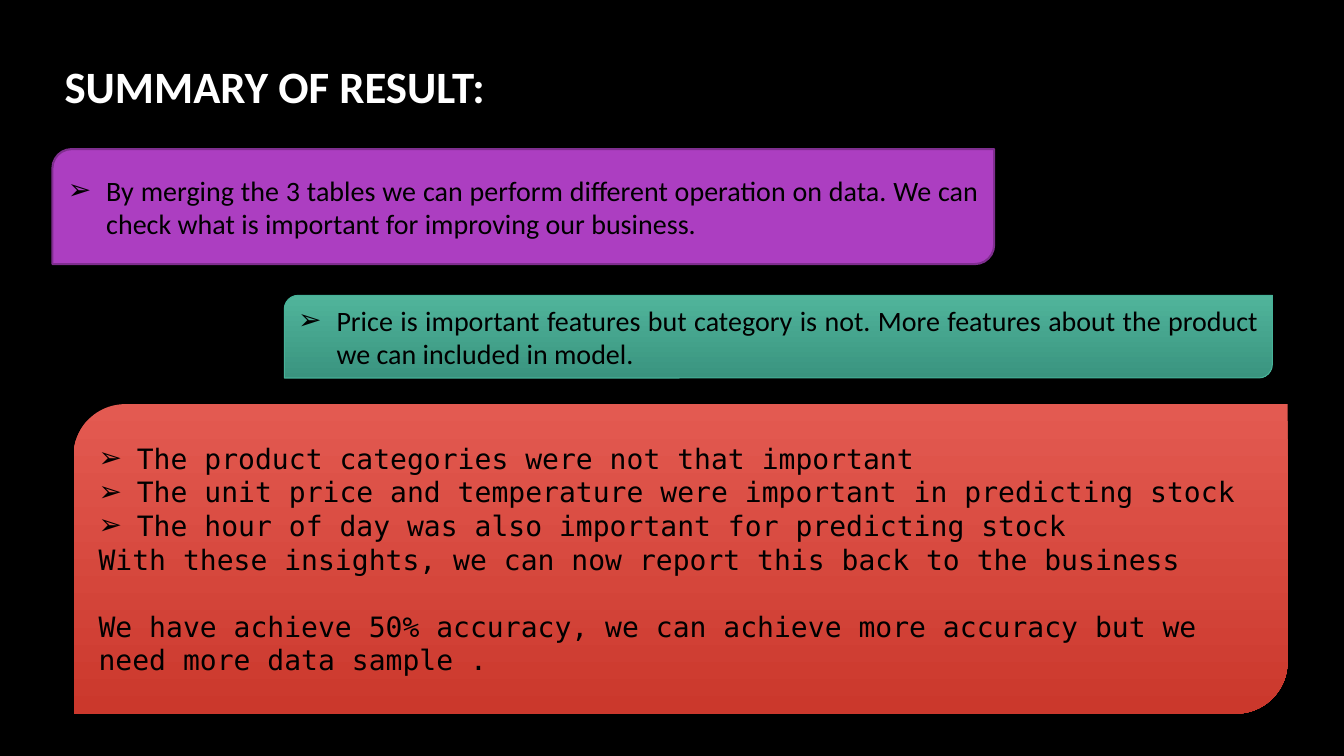
from dataclasses import dataclass
from lxml.etree import SubElement
from pptx import Presentation
from pptx.dml.color import RGBColor as Rgb
from pptx.enum.shapes import MSO_SHAPE as Shape
from pptx.enum.text import MSO_ANCHOR as Anchor, PP_ALIGN as Align
from pptx.oxml.ns import qn
from pptx.util import Inches, Pt


@dataclass(frozen=True)
class Theme:
    back: str = "000000"
    ink: str = "000000"
    light: str = "FFFFFF"
    violet: tuple = ("AC3EC1",)
    green: tuple = ("50B49B", "3A947F")
    red: tuple = ("E35A51", "CB382C")
    rim: str = "7F2E8F"
    edge: str = "46B298"
    sans: str = "Calibri"
    mono: str = "DejaVu Sans Mono"
    head: int = 32
    body: int = 20


THEME = Theme()


def color(code):
    return Rgb.from_string(code)


def place(shape, box):
    shape.left, shape.top, shape.width, shape.height = map(Inches, box)


def write(para, text, face, size, ink, bold=False):
    run = para.add_run()
    run.text = text
    font = run.font
    font.name, font.size, font.bold = face, Pt(size), bold
    font.color.rgb = color(ink)


def bullet(para):
    props = para._p.get_or_add_pPr()
    props.set("marL", str(Inches(0.38)))
    props.set("indent", str(-Inches(0.38)))
    SubElement(props, qn("a:buFont"), typeface="Arial")
    SubElement(props, qn("a:buChar"), char="➢")


def heading(slide, box, text):
    title = slide.shapes.title
    place(title, box)
    frame = title.text_frame
    frame.vertical_anchor = Anchor.BOTTOM
    para = frame.paragraphs[0]
    para.alignment = Align.JUSTIFY
    write(para, text, THEME.sans, THEME.head, THEME.light, True)


def card(slide, box, tones, line=None):
    """Add a card with two round corners, in one tone or a gradient."""
    shape = slide.shapes.add_shape(Shape.ROUND_2_DIAG_RECTANGLE,
                                   *map(Inches, box))
    shape.shadow.inherit = False
    if len(tones) == 1:
        shape.fill.solid()
        shape.fill.fore_color.rgb = color(tones[0])
    else:
        shape.fill.gradient()
        shape.fill.gradient_angle = 270
        for stop, tone in zip(shape.fill.gradient_stops, tones):
            stop.color.rgb = color(tone)
    if line:
        shape.line.color.rgb = color(line[0])
        shape.line.width = Pt(line[1])
    else:
        shape.line.fill.background()
    frame = shape.text_frame
    frame.word_wrap = True
    frame.vertical_anchor = Anchor.MIDDLE
    return frame


def fill_card(frame, points, notes=(), face=THEME.sans, align=Align.LEFT):
    """Write bulleted points, then plain notes with a line between them."""
    for i, text in enumerate((*points, *notes)):
        para = frame.paragraphs[0] if i == 0 else frame.add_paragraph()
        para.alignment = align
        if i < len(points):
            bullet(para)
        elif i > len(points):
            para.space_before = Pt(24)
        write(para, text, face, THEME.body, THEME.ink)


def summary(slide, box):
    left, top, width, height = box
    slide.background.fill.solid()
    slide.background.fill.fore_color.rgb = color(THEME.back)

    # Title
    heading(slide, (left + 0.54, top + 0.11, 7.87, 1.06), "SUMMARY OF RESULT:")

    # Single-point cards
    merge = card(slide, (left + 0.52, top + 1.48, 9.34, 1.14), THEME.violet,
                 (THEME.rim, 1.5))
    fill_card(merge, ["By merging the 3 tables we can perform different "
                      "operation on data. We can check what is important for "
                      "improving our business."], align=Align.JUSTIFY)
    price = card(slide, (left + 2.82, top + 2.93, 9.8, 0.82), THEME.green,
                 (THEME.edge, 0.75))
    fill_card(price, ["Price is important features but category is not. More "
                      "features about the product we can included in model."],
              align=Align.JUSTIFY)

    # Findings card
    finds = card(slide, (left + 0.73, top + 4.01, width - 1.29, height - 4.43),
                 THEME.red)
    fill_card(finds,
              ["The product categories were not that important",
               "The unit price and temperature were important in predicting "
               "stock",
               "The hour of day was also important for predicting stock"],
              ["With these insights, we can now report this back to the "
               "business",
               "We have achieve 50% accuracy, we can achieve more accuracy "
               "but we need more data sample ."],
              THEME.mono)


deck = Presentation()
deck.slide_width, deck.slide_height = Inches(13.33), Inches(7.5)
summary(deck.slides.add_slide(deck.slide_layouts[5]), (0, 0, 13.33, 7.5))
deck.save("out.pptx")
